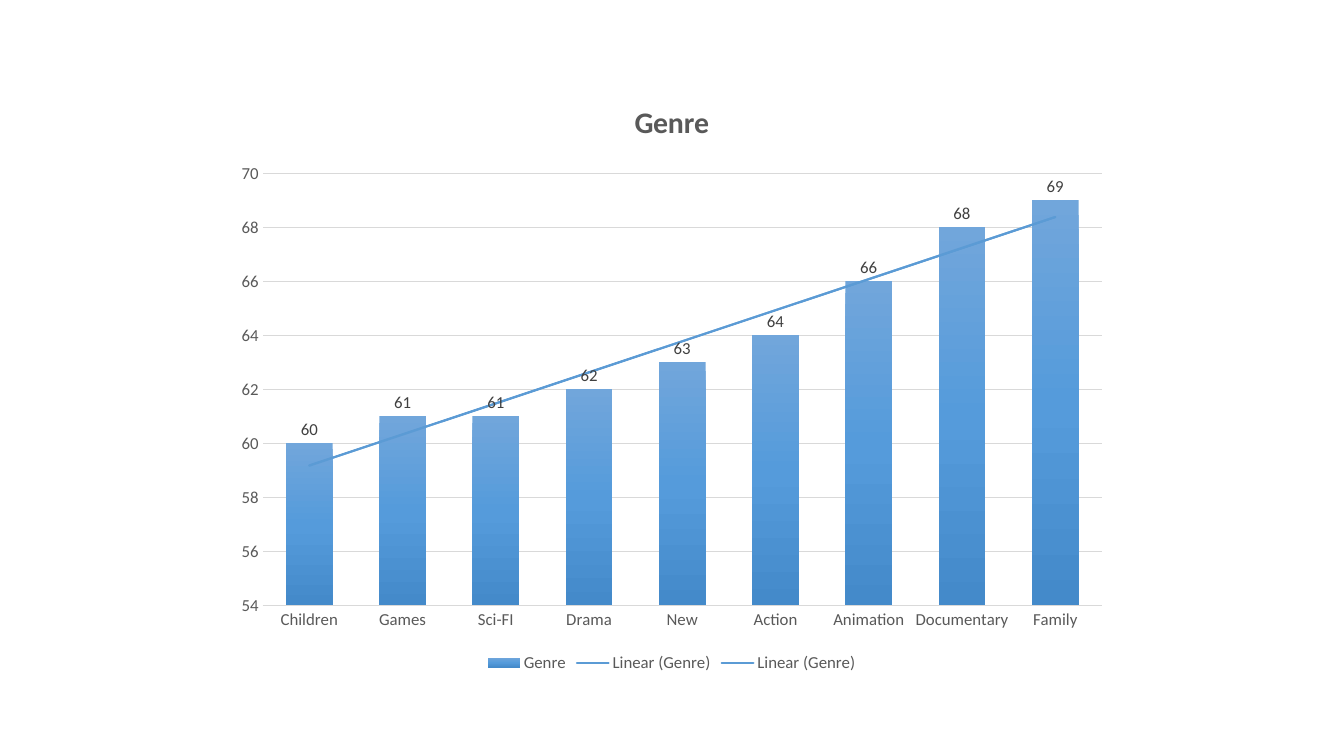
import pptx
import pptx.chart.data
import pptx.dml.color
import pptx.enum.chart
import pptx.oxml
import pptx.oxml.ns
import pptx.util

Cm = pptx.util.Cm
Pt = pptx.util.Pt
RGB = pptx.dml.color.RGBColor
Enum = pptx.enum.chart

# Content
TITLE = "Genre"
SCORES = {
    "Children": 60, "Games": 61, "Sci-FI": 61, "Drama": 62, "New": 63,
    "Action": 64, "Animation": 66, "Documentary": 68, "Family": 69,
}
TRENDS = 2

# Look
FONT = "Calibri"
GREY = RGB(0x59, 0x59, 0x59)
DARK = RGB(0x40, 0x40, 0x40)
PALE = RGB(0xD9, 0xD9, 0xD9)
BLUE = RGB(0x5B, 0x9B, 0xD5)
STOPS = [(0, RGB(0x71, 0xA6, 0xDB)), (50, RGB(0x55, 0x9B, 0xDB)),
         (100, RGB(0x44, 0x8A, 0xCA))]
NS = pptx.oxml.ns.nsdecls("c", "a")


def style(font, size=12, color=GREY, bold=False):
    font.name, font.size, font.bold = FONT, Pt(size), bold
    font.color.rgb = color


def write(frame, text, **look):
    frame.text = text
    style(frame.paragraphs[0].runs[0].font, **look)


def shade(bars):
    """Fill the bars with a gradient from top to bottom."""
    stops = "".join(
        f'<a:gs pos="{pos * 1000}"><a:srgbClr val="{color}"/></a:gs>'
        for pos, color in STOPS)
    props = bars._element.get_or_add_spPr()
    props.insert(0, pptx.oxml.parse_xml(
        f'<a:gradFill {NS} rotWithShape="1"><a:gsLst>{stops}</a:gsLst>'
        '<a:lin ang="5400000" scaled="0"/></a:gradFill>'))


def trend(bars):
    """Add a linear trend line to the bars."""
    cats = bars._element.find(pptx.oxml.ns.qn("c:cat"))
    cats.addprevious(pptx.oxml.parse_xml(
        f'<c:trendline {NS}><c:spPr><a:ln w="{Pt(1.5)}" cap="rnd">'
        f'<a:solidFill><a:srgbClr val="{BLUE}"/></a:solidFill></a:ln></c:spPr>'
        '<c:trendlineType val="linear"/><c:dispRSqr val="0"/>'
        '<c:dispEq val="0"/></c:trendline>'))


def build():
    deck = pptx.Presentation()
    deck.slide_width, deck.slide_height = Cm(33.87), Cm(19.05)
    slide = deck.slides.add_slide(deck.slide_layouts[6])

    # Chart
    data = pptx.chart.data.CategoryChartData()
    data.categories = list(SCORES)
    data.add_series(TITLE, list(SCORES.values()))
    chart = slide.shapes.add_chart(
        Enum.XL_CHART_TYPE.COLUMN_CLUSTERED,
        Cm(5.64), Cm(2), Cm(22.58), Cm(15.05), data).chart
    style(chart.font)
    chart.has_title = True
    write(chart.chart_title.text_frame, TITLE, size=21.3, bold=True)
    chart.chart_title.include_in_layout = False

    # Legend
    chart.has_legend = True
    chart.legend.position = Enum.XL_LEGEND_POSITION.BOTTOM
    chart.legend.include_in_layout = False
    style(chart.legend.font)

    # Axes
    for axis in (chart.category_axis, chart.value_axis):
        axis.major_tick_mark = axis.minor_tick_mark = Enum.XL_TICK_MARK.NONE
        style(axis.tick_labels.font)
    line = chart.category_axis.format.line
    line.color.rgb, line.width = PALE, Pt(1)
    scale = chart.value_axis
    scale.minimum_scale, scale.maximum_scale, scale.major_unit = 54, 70, 2
    scale.format.line.fill.background()
    grid = scale.major_gridlines.format.line
    grid.color.rgb, grid.width = PALE, Pt(0.75)

    # Bars, labels and trend lines
    plot = chart.plots[0]
    plot.gap_width, plot.overlap, plot.vary_by_categories = 100, -24, False
    bars = plot.series[0]
    bars.invert_if_negative = False
    shade(bars)
    labels = bars.data_labels
    labels.show_value = True
    labels.position = Enum.XL_LABEL_POSITION.OUTSIDE_END
    style(labels.font, color=DARK)
    for _ in range(TRENDS):
        trend(bars)

    deck.save("out.pptx")


if __name__ == "__main__":
    build()
